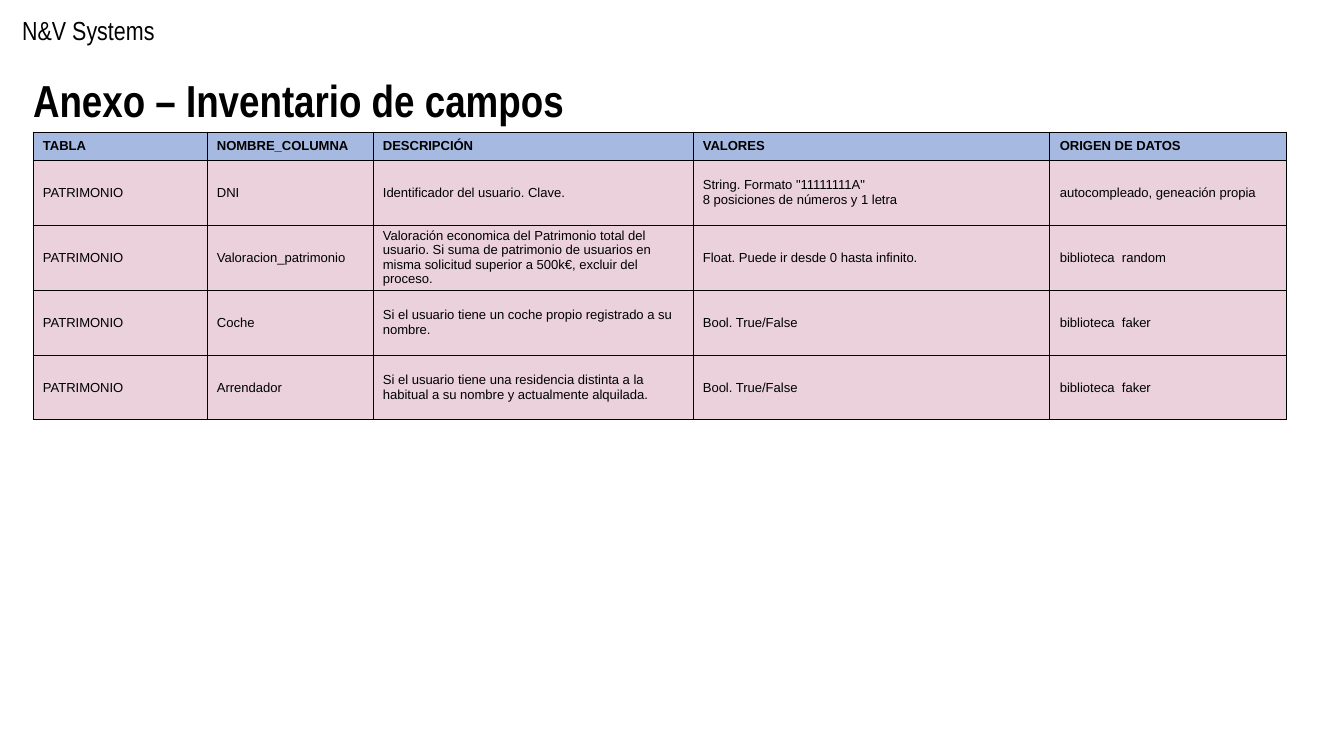
from lxml import etree
from pptx import Presentation
from pptx.dml.color import RGBColor
from pptx.enum.text import MSO_ANCHOR, PP_ALIGN
from pptx.oxml.ns import qn
from pptx.util import Pt

MIDDLE, TOP = MSO_ANCHOR.MIDDLE, MSO_ANCHOR.TOP
LEFT = PP_ALIGN.LEFT
PX = 914400 / 134.4
COLORS = {"text": "000000", "border": "000000", "header": "A6B9E1", "body": "EAD1DC"}
BORDER_WIDTH = Pt(0.5)
TITLE_ONLY = 5

FONTS = {
    "brand": {"name": "Arial Narrow", "size": Pt(14), "bold": False},
    "title": {"name": "Arial Narrow", "size": Pt(24), "bold": True},
    "header": {"name": "Arial", "size": Pt(7), "bold": True},
    "body": {"name": "Arial", "size": Pt(7), "bold": False},
}
COLUMN_WIDTHS = [174, 166, 320, 357, 237]
HEADER_HEIGHT, ROW_HEIGHT = 28, 65
HEADERS = ["TABLA", "NOMBRE_COLUMNA", "DESCRIPCIÓN", "VALORES", "ORIGEN DE DATOS"]
FIELDS = [
    ["DNI", "Identificador del usuario. Clave.",
     'String. Formato "11111111A"\n8 posiciones de números y 1 letra',
     "autocompleado, geneación propia"],
    ["Valoracion_patrimonio",
     "Valoración economica del Patrimonio total del usuario. Si suma de patrimonio "
     "de usuarios en misma solicitud superior a 500k€, excluir del proceso.",
     "Float. Puede ir desde 0 hasta infinito.", "biblioteca  random"],
    ["Coche", "Si el usuario tiene un coche propio registrado a su nombre.",
     "Bool. True/False", "biblioteca  faker"],
    ["Arrendador",
     "Si el usuario tiene una residencia distinta a la habitual a su nombre "
     "y actualmente alquilada.",
     "Bool. True/False", "biblioteca  faker"],
]


def px(length):
    return round(length * PX)


def set_attributes(target, values):
    for name, value in values.items():
        setattr(target, name, value)


def write(frame, text, style):
    para = frame.paragraphs[0]
    para.text = text
    para.alignment = LEFT
    for font in [para.font] + [span.font for span in para.runs]:
        set_attributes(font, FONTS[style])
        font.color.rgb = RGBColor.from_string(COLORS["text"])


def margins(side, end):
    return {"margin_left": px(side), "margin_right": px(side),
            "margin_top": px(end), "margin_bottom": px(end)}


def place(shape, left, top, width, height):
    set_attributes(shape, {"left": px(left), "top": px(top),
                           "width": px(width), "height": px(height)})


def add_brand(page, left, top, width, height):
    box = page.shapes.add_textbox(0, 0, 0, 0)
    place(box, left, top, width, height)
    set_attributes(box.text_frame, {"word_wrap": True, "vertical_anchor": MIDDLE})
    write(box.text_frame, "N&V Systems", "brand")


def add_title(page, left, top, width, height):
    title = page.shapes.title
    place(title, left, top, width, height)
    set_attributes(title.text_frame, {"word_wrap": True, "vertical_anchor": TOP,
                                      **margins(13, 13)})
    write(title.text_frame, "Anexo – Inventario de campos", "title")


def add_borders(cell):
    properties = cell._tc.get_or_add_tcPr()
    for position, side in enumerate(["a:lnL", "a:lnR", "a:lnT", "a:lnB"]):
        line = etree.Element(qn(side), w=str(BORDER_WIDTH))
        fill = etree.SubElement(line, qn("a:solidFill"))
        etree.SubElement(fill, qn("a:srgbClr"), val=COLORS["border"])
        properties.insert(position, line)


def add_field_table(page, left, top):
    rows = [HEADERS] + [["PATRIMONIO"] + field for field in FIELDS]
    heights = [HEADER_HEIGHT] + [ROW_HEIGHT] * len(FIELDS)
    frame = page.shapes.add_table(
        len(rows), len(HEADERS), px(left), px(top),
        px(sum(COLUMN_WIDTHS)), px(sum(heights)))
    table = frame.table
    for column, width in zip(table.columns, COLUMN_WIDTHS):
        column.width = px(width)
    for row, height, texts in zip(table.rows, heights, rows):
        row.height = px(height)
        style = "header" if texts is HEADERS else "body"
        for cell, text in zip(row.cells, texts):
            set_attributes(cell, {"vertical_anchor": MIDDLE, **margins(10, 0)})
            cell.fill.solid()
            cell.fill.fore_color.rgb = RGBColor.from_string(COLORS[style])
            add_borders(cell)
            write(cell.text_frame, text, style)


def main():
    deck = Presentation()
    set_attributes(deck, {"slide_width": px(1344), "slide_height": px(756)})
    page = deck.slides.add_slide(deck.slide_layouts[TITLE_ONLY])
    add_brand(page, 9, 7, 258, 46)
    add_title(page, 20, 60, 771, 85)
    add_field_table(page, 33, 132)
    deck.save("out.pptx")


if __name__ == "__main__":
    main()
